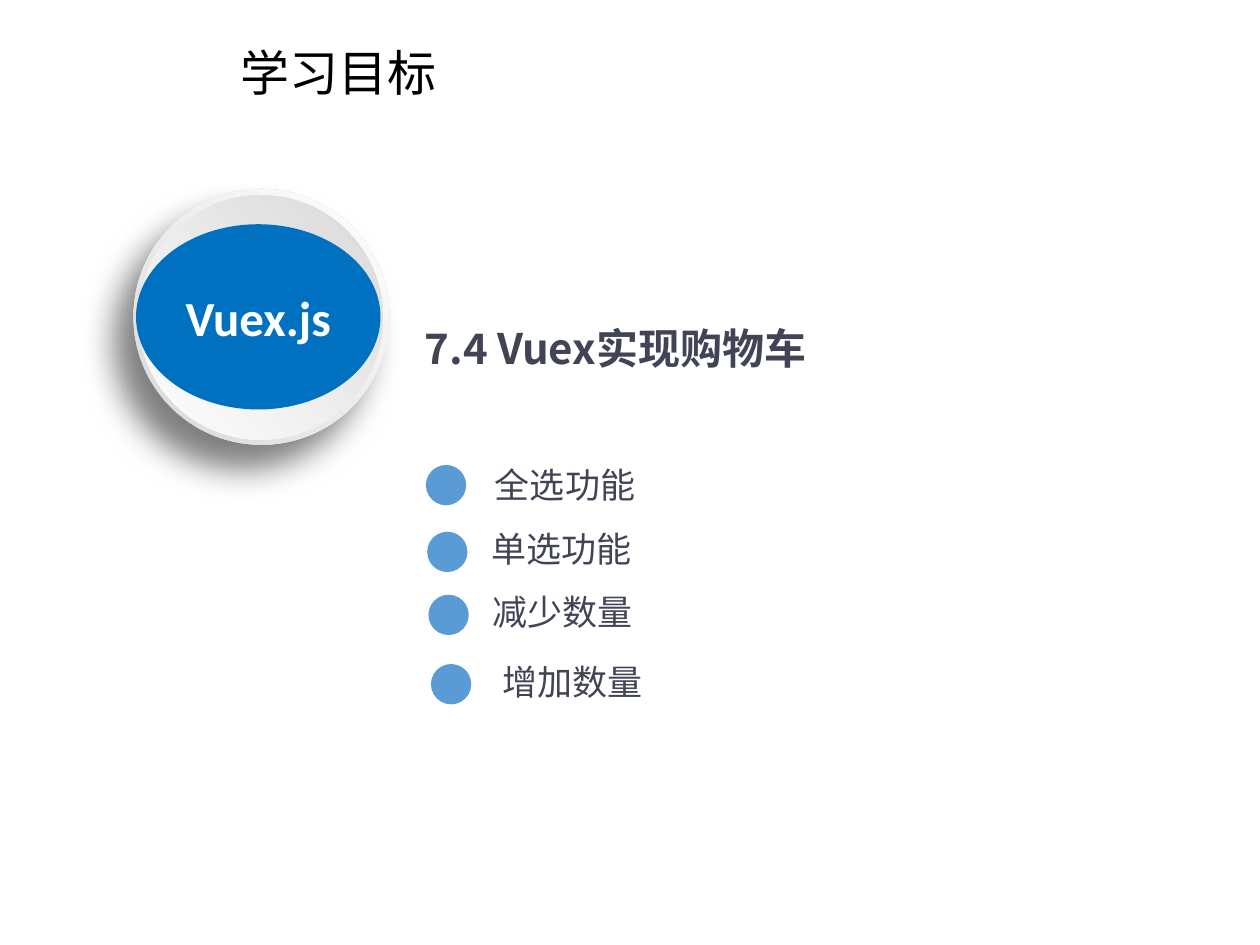
import pptx
import pptx.util
import pptx.dml.color
import pptx.enum.shapes
import pptx.enum.text
import lxml.etree
from pptx.util import Inches

THEME = {
    "cjk": "Noto Sans CJK SC", "latin": "Calibri",
    "black": "000000", "white": "FFFFFF", "ink": "414455",
    "badge": "0070C0", "bullet": "5B9BD5",
    "silver": "D9D9D9", "pale": "FEFEFE",
    "title": 28, "heading": 24, "item": 20,
}
ALIGN = pptx.enum.text.PP_ALIGN
ANCHOR = pptx.enum.text.MSO_ANCHOR
DRAWING_NS = "http://schemas.openxmlformats.org/drawingml/2006/main"


def write(shape, text, *, size, color, font=THEME["cjk"], bold=False, align=ALIGN.LEFT,
          anchor=ANCHOR.TOP, wrap=False, inset=(0.1, 0.05), spacing=None):
    frame = shape.text_frame
    frame.word_wrap = wrap
    frame.vertical_anchor = anchor
    frame.margin_left = frame.margin_right = Inches(inset[0])
    frame.margin_top = frame.margin_bottom = Inches(inset[1])
    paragraph = frame.paragraphs[0]
    paragraph.alignment = align
    paragraph.line_spacing = spacing
    run = paragraph.add_run()
    run.text = text
    run.font.size = pptx.util.Pt(size)
    run.font.bold = bold
    run.font.name = font
    run.font.color.rgb = pptx.dml.color.RGBColor.from_string(color)
    east_asian = lxml.etree.SubElement(run.font._element, f"{{{DRAWING_NS}}}ea")
    east_asian.set("typeface", font)


def add_ellipse(left, top, width, height, color=None, gradient=None):
    ellipse = slide.shapes.add_shape(
        pptx.enum.shapes.MSO_SHAPE.OVAL,
        Inches(left), Inches(top), Inches(width), Inches(height))
    ellipse.shadow.inherit = False
    ellipse.line.fill.background()
    if color:
        ellipse.fill.solid()
        ellipse.fill.fore_color.rgb = pptx.dml.color.RGBColor.from_string(color)
    else:
        inner, outer = gradient
        radial = lxml.etree.fromstring(
            f'<a:gradFill xmlns:a="{DRAWING_NS}" rotWithShape="1"><a:gsLst>'
            f'<a:gs pos="0"><a:srgbClr val="{inner}"/></a:gs>'
            f'<a:gs pos="100000"><a:srgbClr val="{outer}"/></a:gs></a:gsLst>'
            '<a:path path="circle"><a:fillToRect l="100000" b="100000"/></a:path>'
            '</a:gradFill>')
        ellipse._element.spPr.find(f"{{{DRAWING_NS}}}prstGeom").addnext(radial)
    return ellipse


deck = pptx.Presentation()
deck.slide_width, deck.slide_height = Inches(10), Inches(7.5)
slide = deck.slides.add_slide(deck.slide_layouts[6])

title = slide.shapes.add_textbox(Inches(1.81), Inches(0.34), Inches(5.16), Inches(0.68))
write(title, "学习目标", size=THEME["title"], color=THEME["black"], wrap=True, spacing=0.9)

heading = slide.shapes.add_textbox(Inches(3.25), Inches(2.52), Inches(3.27), Inches(0.48))
write(heading, "7.4 Vuex实现购物车", size=THEME["heading"], color=THEME["ink"],
      bold=True, align=ALIGN.CENTER, inset=(0.08, 0.04))

rim = add_ellipse(1.06, 1.5, 2.03, 2.03, gradient=(THEME["white"], THEME["silver"]))
rim_shadow = lxml.etree.SubElement(
    rim._element.spPr.find(f"{{{DRAWING_NS}}}effectLst"), f"{{{DRAWING_NS}}}outerShdw",
    blurRad=str(pptx.util.Pt(19)), dist=str(pptx.util.Pt(18)),
    dir=str(130 * 60000), algn="ctr", rotWithShape="0")
shadow_color = lxml.etree.SubElement(rim_shadow, f"{{{DRAWING_NS}}}srgbClr", val=THEME["black"])
lxml.etree.SubElement(shadow_color, f"{{{DRAWING_NS}}}alpha", val="50000")

add_ellipse(1.1, 1.55, 1.94, 1.94, gradient=(THEME["silver"], THEME["pale"]))
badge = add_ellipse(1.08, 1.78, 1.94, 1.47, color=THEME["badge"])
write(badge, "Vuex.js", size=THEME["title"], color=THEME["white"], font=THEME["latin"],
      bold=True, align=ALIGN.CENTER, anchor=ANCHOR.MIDDLE, wrap=True)

goals = [
    ("全选功能", 3.38, 3.69, 3.83, 3.63),
    ("单选功能", 3.39, 4.22, 3.8, 4.14),
    ("减少数量", 3.4, 4.72, 3.81, 4.64),
    ("增加数量", 3.42, 5.27, 3.89, 5.19),
]
for goal, dot_left, dot_top, label_left, label_top in goals:
    add_ellipse(dot_left, dot_top, 0.32, 0.32, color=THEME["bullet"])
    label = slide.shapes.add_textbox(
        Inches(label_left), Inches(label_top), Inches(1.32), Inches(0.44))
    write(label, goal, size=THEME["item"], color=THEME["ink"])

deck.save("out.pptx")
